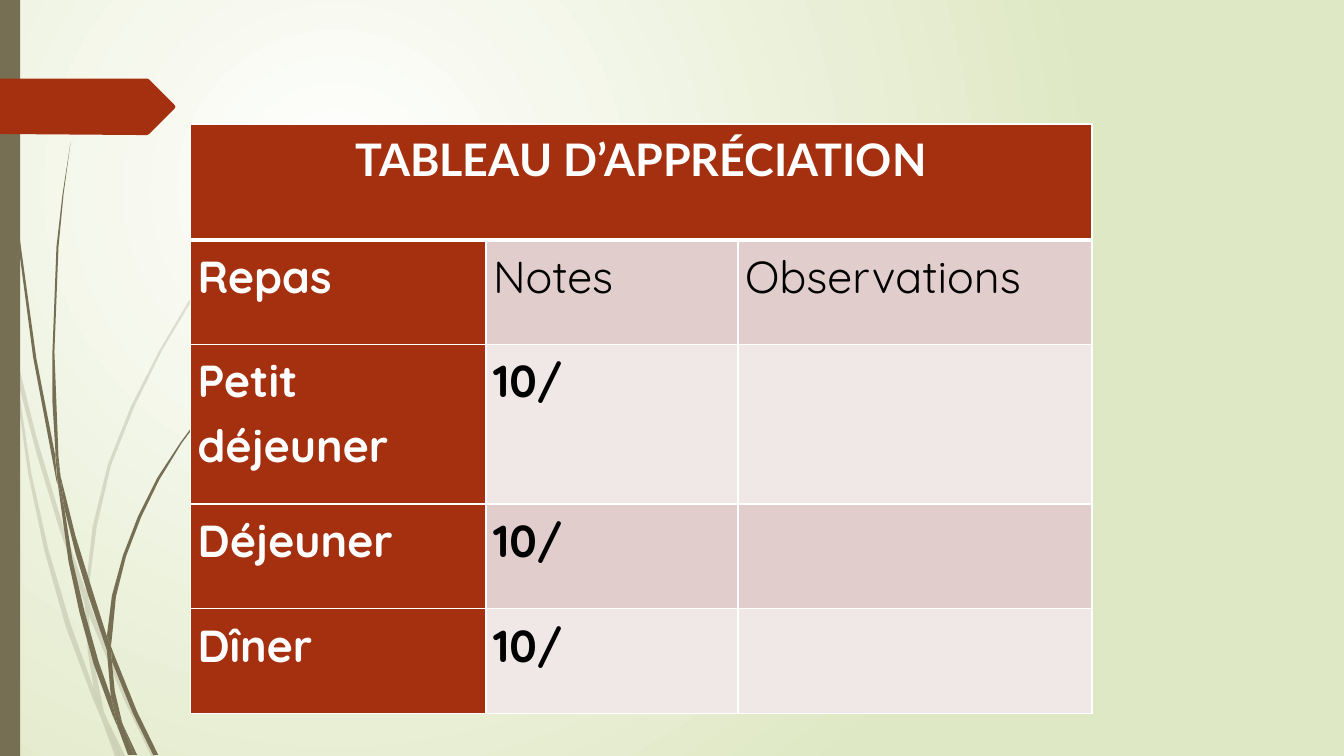
from dataclasses import dataclass

from lxml import etree
from pptx import Presentation
from pptx.dml.color import RGBColor
from pptx.enum.shapes import MSO_SHAPE
from pptx.enum.text import PP_ALIGN
from pptx.oxml.ns import qn
from pptx.util import Inches, Pt

RECT = MSO_SHAPE.RECTANGLE
CENTER, LEFT = PP_ALIGN.CENTER, PP_ALIGN.LEFT


@dataclass(frozen=True)
class Theme:
    white: str = "FFFFFF"
    black: str = "000000"
    backdrop: str = "DFE8C4"
    stem: str = "766F54"
    rust: str = "A53010"
    bands: tuple = ("F0E8E7", "E1CDCC")
    title_font: str = "Lato"
    body_font: str = "Quicksand"
    size: int = 32


THEME = Theme()

# Outline points of the grass stems, in inches
PALE_STEMS = [
    [(0.11, 3.5), (0.09, 3.22), (0, 2.82), (0, 2.99), (0.1, 3.44)],
    [(0.58, 5.22), (0.84, 5.99), (0.85, 5.86), (0.62, 5.2), (0.36, 4.33), (0.14, 3.45),
     (0.17, 3.76), (0.36, 4.49)],
    [(0.92, 6.07), (0.88, 5.96), (0.88, 6.1), (1.23, 6.94), (1.5, 7.5), (1.55, 7.5),
     (1.27, 6.92)],
    [(1.19, 7.5), (1.24, 7.5), (1.05, 7.11)],
    [(0.93, 6.83), (0.7, 6.19), (0.48, 5.45), (0.31, 4.69), (0.17, 3.76), (0.11, 3.5),
     (0.28, 4.7), (0.44, 5.46), (0.65, 6.21), (0.92, 6.93), (1.01, 7.14), (0.99, 7.07)],
    [(0.84, 5.99), (0.87, 6.46), (0.93, 6.83), (0.96, 6.92), (1.05, 7.11), (1.03, 7.06),
     (0.91, 6.46), (0.88, 6.1), (0.88, 6.08)],
    [(0.88, 5.84), (0.96, 5.22), (1.1, 4.62), (1.33, 4.04), (1.6, 3.49), (1.92, 2.95),
     (2.29, 2.45), (2.68, 1.98), (2.9, 1.75), (3.12, 1.54), (3.12, 1.53), (2.89, 1.75),
     (2.68, 1.97), (2.28, 2.44), (1.9, 2.94), (1.58, 3.48), (1.3, 4.03), (1.07, 4.61),
     (0.92, 5.22), (0.85, 5.84), (0.85, 5.86), (0.88, 5.96)],
    [(1.01, 7.14), (1.14, 7.5), (1.19, 7.5)],
    [(0.88, 6.08), (0.88, 6.1), (0.88, 5.96), (0.85, 5.86), (0.84, 5.99)],
    [(0.96, 6.92), (0.93, 6.83), (0.99, 7.07), (1.01, 7.14), (1.19, 7.5), (1.05, 7.11)],
]
DARK_STEMS = [
    [(0.07, 1.1), (0.17, 2.33), (0.33, 3.55), (0.56, 4.77), (0.57, 4.81), (0.55, 4.57),
     (0.55, 4.53), (0.36, 3.55), (0.19, 2.32), (0.08, 1.09), (0.05, 0.48), (0.04, 0),
     (0.03, 0), (0.04, 0.48)],
    [(0.88, 5.92), (1.06, 6.45), (1.06, 6.31), (0.93, 5.9), (0.75, 5.32), (0.6, 4.72),
     (0.64, 5.05), (0.75, 5.49)],
    [(1.13, 6.49), (1.1, 6.41), (1.11, 6.56), (1.32, 7.08), (1.52, 7.49), (1.57, 7.49),
     (1.36, 7.06)],
    [(1.1, 6.91), (0.98, 6.57), (0.84, 6.07), (0.72, 5.56), (0.64, 5.05), (0.57, 4.77),
     (0.68, 5.57), (0.79, 6.08), (0.93, 6.59), (1.11, 7.08), (1.17, 7.22), (1.16, 7.17)],
    [(0.6, 4.72), (0.58, 4.53), (0.54, 3.49), (0.58, 2.45), (0.63, 1.93), (0.7, 1.41),
     (0.62, 1.93), (0.56, 2.45), (0.52, 3.49), (0.52, 3.99), (0.55, 4.49)],
    [(1.33, 7.49), (1.36, 7.49), (1.22, 7.19)],
    [(0.57, 4.77), (0.64, 5.05), (0.6, 4.72), (0.55, 4.49), (0.55, 4.53)],
    [(1.11, 6.33), (1.15, 5.92), (1.25, 5.52), (1.4, 5.13), (1.58, 4.76), (1.8, 4.4),
     (2.05, 4.06), (2.31, 3.74), (2.61, 3.44), (2.6, 3.44), (2.31, 3.73), (2.04, 4.05),
     (1.79, 4.39), (1.56, 4.74), (1.37, 5.12), (1.22, 5.51), (1.11, 5.91), (1.06, 6.31),
     (1.1, 6.41)],
    [(1.17, 7.22), (1.27, 7.49), (1.31, 7.49)],
    [(1.06, 6.45), (1.1, 6.91), (1.16, 7.06), (1.22, 7.19), (1.21, 7.16), (1.14, 6.86),
     (1.11, 6.56), (1.09, 6.51)],
    [(1.06, 6.45), (1.09, 6.51), (1.11, 6.56), (1.1, 6.41), (1.06, 6.31)],
    [(1.16, 7.06), (1.1, 6.91), (1.16, 7.17), (1.17, 7.22), (1.3, 7.49), (1.33, 7.49),
     (1.22, 7.19)],
]
TAG = [(0, 0.78), (1.46, 0.78), (1.48, 0.79), (1.73, 1.04), (1.74, 1.06), (1.73, 1.08),
       (1.48, 1.33), (1.46, 1.34), (1.36, 1.34), (0, 1.33)]

COLUMNS = [2.93, 2.5, 3.51]
ROWS = [1.15, 1.04, 1.58, 1.04, 1.04]
MEALS = [
    ("TABLEAU D’APPRÉCIATION", "", ""),
    ("Repas", "Notes", "Observations"),
    ("Petit déjeuner", "10/", ""),
    ("Déjeuner", "10/", ""),
    ("Dîner", "10/", ""),
]


def rgb(color):
    return RGBColor.from_string(color)


def paint(sp, color, opacity=100):
    sp.shadow.inherit = False
    sp.fill.solid()
    sp.fill.fore_color.rgb = rgb(color)
    sp.line.fill.background()
    if opacity < 100:
        clr = sp.fill._xPr.find(qn("a:solidFill"))[0]
        etree.SubElement(clr, qn("a:alpha"), val=str(opacity * 1000))


def add_outline(shapes, points, color, opacity=100):
    corners = [(Inches(x), Inches(y)) for x, y in points]
    builder = shapes.build_freeform(*corners[0])
    builder.add_line_segments(corners[1:], close=True)
    paint(builder.convert_to_shape(), color, opacity)


def add_stems(slide, stems, opacity=100):
    group = slide.shapes.add_group_shape()
    for points in stems:
        add_outline(group.shapes, points, THEME.stem, opacity)


def set_background(slide):
    """Radial gradient centred in the upper left."""
    fill = slide.background.fill
    fill.gradient()
    for stop, position, color in zip(fill.gradient_stops, (0, 1), (THEME.white, THEME.backdrop)):
        stop.position = position
        stop.color.rgb = rgb(color)
    grad = slide._element.find(".//" + qn("a:gradFill"))
    grad.remove(grad.find(qn("a:lin")))
    radial = etree.Element(qn("a:path"), path="circle")
    etree.SubElement(radial, qn("a:fillToRect"), l="50000", t="50000", r="100000", b="100000")
    grad.find(qn("a:gsLst")).addnext(radial)


def set_borders(cell, top, bottom):
    tc_pr = cell._tc.get_or_add_tcPr()
    for i, (side, width) in enumerate((("L", 1), ("R", 1), ("T", top), ("B", bottom))):
        ln = etree.Element(qn("a:ln" + side), w=str(Pt(width)))
        solid = etree.SubElement(ln, qn("a:solidFill"))
        etree.SubElement(solid, qn("a:srgbClr"), val=THEME.white)
        tc_pr.insert(i, ln)


def write_cell(cell, text, font, color, bold, align):
    cell.margin_left = cell.margin_right = Inches(0.07)
    cell.margin_top = cell.margin_bottom = 0
    p = cell.text_frame.paragraphs[0]
    p.text = text
    p.alignment = align
    p.line_spacing = 1.15
    p.space_after = Pt(8)
    for r in p.runs:
        r.font.name, r.font.size, r.font.bold = font, Pt(THEME.size), bold
        r.font.color.rgb = rgb(color)


def add_meal_table(slide):
    frame = slide.shapes.add_table(len(ROWS), len(COLUMNS), Inches(1.89), Inches(1.23),
                                   Inches(sum(COLUMNS)), Inches(sum(ROWS)))
    table = frame.table
    for column, width in zip(table.columns, COLUMNS):
        column.width = Inches(width)
    for row, height in zip(table.rows, ROWS):
        row.height = Inches(height)
    table.cell(0, 0).merge(table.cell(0, len(COLUMNS) - 1))
    for i, texts in enumerate(MEALS):
        for j, text in enumerate(texts):
            cell = table.cell(i, j)
            title, heading = i == 0, i == 0 or j == 0
            cell.fill.solid()
            cell.fill.fore_color.rgb = rgb(THEME.rust if heading else THEME.bands[i % 2])
            set_borders(cell, top=3 if i == 1 else 1, bottom=3 if title else 1)
            if text:
                write_cell(cell, text, THEME.title_font if title else THEME.body_font,
                           THEME.white if heading else THEME.black,
                           heading or i > 1, CENTER if title else LEFT)


def main():
    prs = Presentation()
    prs.slide_width, prs.slide_height = Inches(13.33), Inches(7.5)
    slide = prs.slides.add_slide(prs.slide_layouts[6])
    set_background(slide)
    add_stems(slide, PALE_STEMS, opacity=20)
    add_stems(slide, DARK_STEMS)
    paint(slide.shapes.add_shape(RECT, 0, 0, Inches(0.2), prs.slide_height), THEME.stem)
    add_outline(slide.shapes, TAG, THEME.rust)
    add_meal_table(slide)
    prs.save("out.pptx")


if __name__ == "__main__":
    main()
